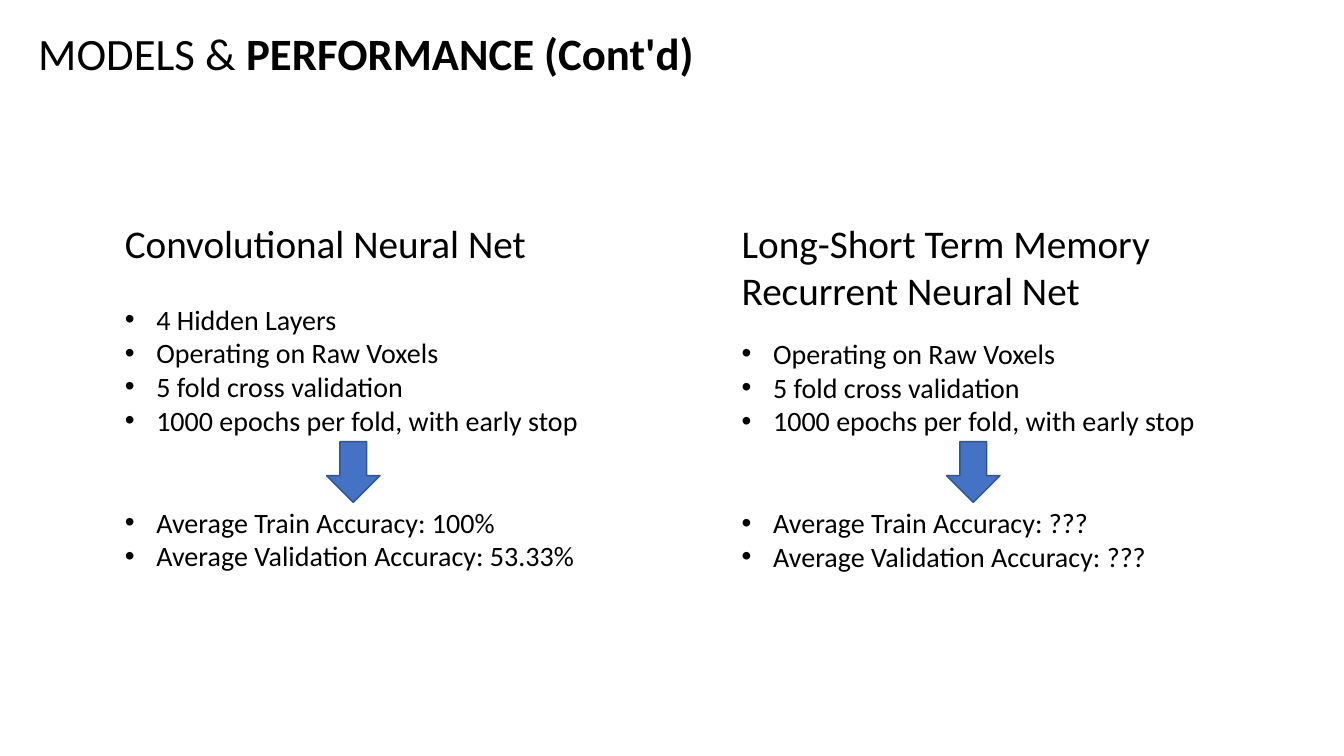
from lxml.etree import SubElement
from pptx import Presentation
from pptx.dml.color import RGBColor
from pptx.enum.shapes import MSO_SHAPE as Preset
from pptx.enum.text import PP_ALIGN as Align
from pptx.oxml.ns import qn
from pptx.util import Pt

COLORS = {"text": "000000", "arrow": "4472C4", "arrow_edge": "325491"}
FONT = "Calibri"
LINE_HEIGHT = 24.4
BULLET_INDENT = 22.5
TRAINING = [
    "Operating on Raw Voxels",
    "5 fold cross validation",
    "1000 epochs per fold, with early stop",
]
MODELS = [
    {
        "box": (82.1, 153.4, 344, 282.2),
        "heading": ["Convolutional Neural Net"],
        "setup": ["4 Hidden Layers"] + TRAINING,
        "results": ["Average Train Accuracy: 100%", "Average Validation Accuracy: 53.33%"],
        "arrow_offset": 151.2,
    },
    {
        "box": (522.7, 153.4, 344, 282.2),
        "heading": ["Long-Short Term Memory", "Recurrent Neural Net"],
        "setup": TRAINING,
        "results": ["Average Train Accuracy: ???", "Average Validation Accuracy: ???"],
        "arrow_offset": 153.4,
    },
]


def color(name):
    """Return the named colour."""
    return RGBColor.from_string(COLORS[name])


def style(paragraph, size):
    """Set the font of a paragraph."""
    paragraph.font.name = FONT
    paragraph.font.size = Pt(size)
    paragraph.font.color.rgb = color("text")


def add_bullet(paragraph):
    """Give a paragraph a round bullet with a hanging indent."""
    properties = paragraph._p.get_or_add_pPr()
    properties.set("marL", str(Pt(BULLET_INDENT)))
    properties.set("indent", str(-Pt(BULLET_INDENT)))
    SubElement(properties, qn("a:buFont"), typeface="Arial")
    SubElement(properties, qn("a:buChar"), char="•")


def add_text(slide, box, lines, size, bulleted=False):
    """Add a wrapped text box and return its paragraphs."""
    frame = slide.shapes.add_textbox(*map(Pt, box)).text_frame
    frame.word_wrap = True
    frame.text = "\n".join(lines)
    for paragraph in frame.paragraphs:
        if bulleted:
            add_bullet(paragraph)
        style(paragraph, size)
    return frame.paragraphs


def add_title(slide, box):
    """Add the slide title with its bold ending."""
    paragraph = add_text(slide, box, ["MODELS & "], 32)[0]
    paragraph.alignment = Align.JUSTIFY
    ending = paragraph.add_run()
    ending.text = "PERFORMANCE (Cont'd)"
    ending.font.bold = True


def add_model(slide, box, heading, setup, results, arrow_offset):
    """Add a model's heading, setup, arrow and results in a column."""
    left, top, width, height = box
    add_text(slide, (left, top, 325, 41 + 34 * (len(heading) - 1)), heading, 28)
    setup_bottom = top + 59 + 4 * LINE_HEIGHT
    list_top = setup_bottom - len(setup) * LINE_HEIGHT
    list_box = (left, list_top, width, top + height - list_top)
    paragraphs = add_text(slide, list_box, setup + results, 20, bulleted=True)
    paragraphs[len(setup)].space_before = Pt(2 * LINE_HEIGHT)

    arrow_box = (left + arrow_offset, setup_bottom + 5.4, 38.2, 43.4)
    arrow = slide.shapes.add_shape(Preset.DOWN_ARROW, *map(Pt, arrow_box))
    arrow.shadow.inherit = False
    arrow.fill.solid()
    arrow.fill.fore_color.rgb = color("arrow")
    arrow.line.color.rgb = color("arrow_edge")
    arrow.line.width = Pt(1)


def main():
    """Build and save the slide."""
    presentation = Presentation()
    presentation.slide_width, presentation.slide_height = Pt(960), Pt(540)
    slide = presentation.slides.add_slide(presentation.slide_layouts[6])
    add_title(slide, (20.2, 15.1, 483, 46))
    for model in MODELS:
        add_model(slide, **model)
    presentation.save("out.pptx")


if __name__ == "__main__":
    main()
